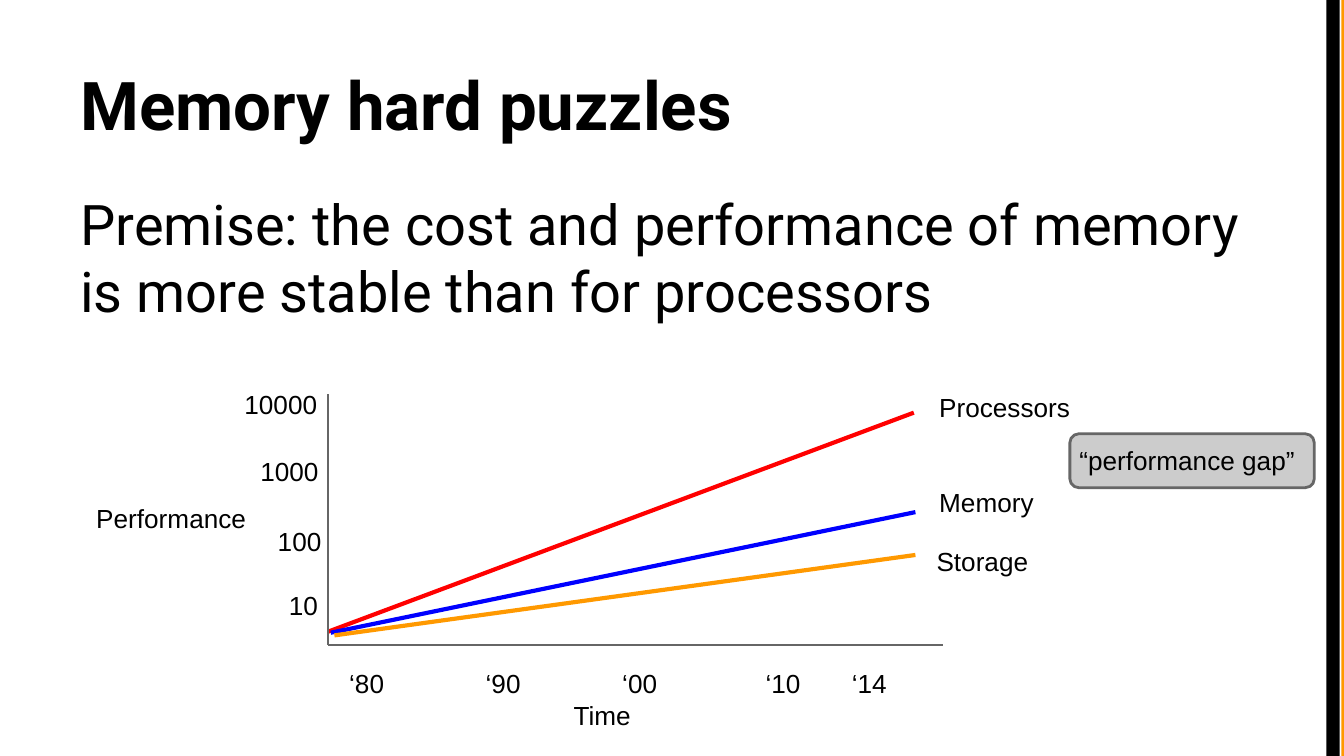
from typing import NamedTuple

from lxml.etree import SubElement
from pptx import Presentation
from pptx.dml.color import RGBColor
from pptx.enum.shapes import MSO_CONNECTOR as Link, MSO_SHAPE as Kind
from pptx.enum.text import MSO_ANCHOR as Anchor
from pptx.oxml.ns import qn
from pptx.util import Cm, Pt

BLACK = RGBColor(0x00, 0x00, 0x00)
WHITE = RGBColor(0xFF, 0xFF, 0xFF)
RED = RGBColor(0xFF, 0x00, 0x00)
BLUE = RGBColor(0x00, 0x00, 0xFF)
ORANGE = RGBColor(0xFF, 0x99, 0x00)
GREY = RGBColor(0x66, 0x66, 0x66)
SILVER = RGBColor(0xCC, 0xCC, 0xCC)


class Box(NamedTuple):
    x: float
    y: float
    w: float
    h: float = 1.27


class Label(NamedTuple):
    text: str
    box: Box
    size: int = 14
    font: str = "Arial"
    bold: bool = False
    anchor: Anchor = Anchor.TOP


class Line(NamedTuple):
    x1: float
    y1: float
    x2: float
    y2: float
    color: RGBColor
    width: float


HEADS = [
    Label("Memory hard puzzles", Box(1.27, 0.58, 22.86, 2.39),
          36, "Roboto", True, Anchor.BOTTOM),
    Label("Premise: the cost and performance of memory is more stable "
          "than for processors", Box(1.27, 3.33, 22.86, 10.34), 30, "Roboto"),
]
LABELS = [
    Label("Performance", Box(1.57, 9.25, 10.16)),
    Label("10000", Box(4.37, 7.09, 2.11)),
    Label("1000", Box(4.67, 8.36, 2.11)),
    Label("100", Box(5, 9.68, 2.11)),
    Label("10", Box(5.21, 10.9, 2.11)),
    Label("Processors", Box(17.5, 7.14, 7.9)),
    Label("Memory", Box(17.5, 8.94, 7.9)),
    Label("Storage", Box(17.45, 10.06, 7.9)),
]
LINES = [
    Line(6.2, 11.94, 17.27, 7.8, RED, 2.25),
    Line(6.25, 11.96, 17.3, 9.68, BLUE, 2.25),
    Line(6.32, 12.01, 17.3, 10.49, ORANGE, 2.25),
    Line(6.2, 12.19, 6.2, 7.44, GREY, 1.5),
    Line(6.2, 12.19, 17.83, 12.19, GREY, 1.5),
]
YEARS = ["‘80", "‘90", "‘00", "‘10", "‘14"]
STOPS = [2.58, 5.16, 7.87, 9.5]

deck = Presentation()
deck.slide_width, deck.slide_height = Cm(25.4), Cm(14.29)
slide = deck.slides.add_slide(deck.slide_layouts[6])
slide.background.fill.solid()
slide.background.fill.fore_color.rgb = WHITE


def place(box: Box) -> list[Cm]:
    return [Cm(n) for n in box]


def add_run(para, text: str, size: int = 14, font: str = "Arial",
            bold: bool = False) -> None:
    run = para.add_run()
    run.text = text
    run.font.size, run.font.name, run.font.bold = Pt(size), font, bold
    run.font.color.rgb = BLACK


def set_frame(frame, left: float = 0.25, top: float = 0.25) -> None:
    frame.word_wrap = True
    frame.margin_left, frame.margin_top = Cm(left), Cm(top)
    frame.margin_right = frame.margin_bottom = Cm(0.25)
    frame.vertical_anchor = Anchor.TOP


def add_frame(box: Box):
    frame = slide.shapes.add_textbox(*place(box)).text_frame
    set_frame(frame)
    return frame


def add_label(label: Label) -> None:
    frame = add_frame(label.box)
    frame.vertical_anchor = label.anchor
    add_run(frame.paragraphs[0], label.text, label.size, label.font, label.bold)


def add_block(kind: Kind, box: Box, fill: RGBColor):
    shape = slide.shapes.add_shape(kind, *place(box))
    shape.shadow.inherit = False
    shape.fill.solid()
    shape.fill.fore_color.rgb = fill
    shape.line.fill.background()
    return shape


def add_line(line: Line) -> None:
    ends = [Cm(n) for n in line[:4]]
    link = slide.shapes.add_connector(Link.STRAIGHT, *ends)
    link.line.color.rgb, link.line.width = line.color, Pt(line.width)
    SubElement(link._element.spPr, qn("a:effectLst"))


def add_years() -> None:
    frame = add_frame(Box(6.35, 12.37, 12.47))
    para = frame.paragraphs[0]
    tabs = SubElement(para._p.get_or_add_pPr(), qn("a:tabLst"))
    for stop in STOPS:
        SubElement(tabs, qn("a:tab"), pos=str(Cm(stop)), algn="l")
    add_run(para, "\t".join(YEARS))
    para = frame.add_paragraph()
    para._p.get_or_add_pPr().set("marL", str(Cm(4.24)))
    add_run(para, "Time")


def add_gap() -> None:
    shape = add_block(Kind.ROUNDED_RECTANGLE, Box(20.22, 8.2, 4.62, 1.02), SILVER)
    shape.line.color.rgb, shape.line.width = GREY, Pt(1.5)
    set_frame(shape.text_frame, 0.13, 0.15)
    shape.text_frame.word_wrap = False
    para = shape.text_frame.paragraphs[0]
    para.alignment = 1
    add_run(para, "“performance gap”")


# Edge bars
add_block(Kind.RECTANGLE, Box(25.35, 0, 0.25, 14.29), ORANGE)
add_block(Kind.RECTANGLE, Box(25.07, 0, 0.25, 14.29), BLACK)

# Title and premise
for head in HEADS:
    add_label(head)

# Growth lines, axes and their labels
for line in LINES:
    add_line(line)
for label in LABELS:
    add_label(label)
add_years()
add_gap()

deck.save("out.pptx")
